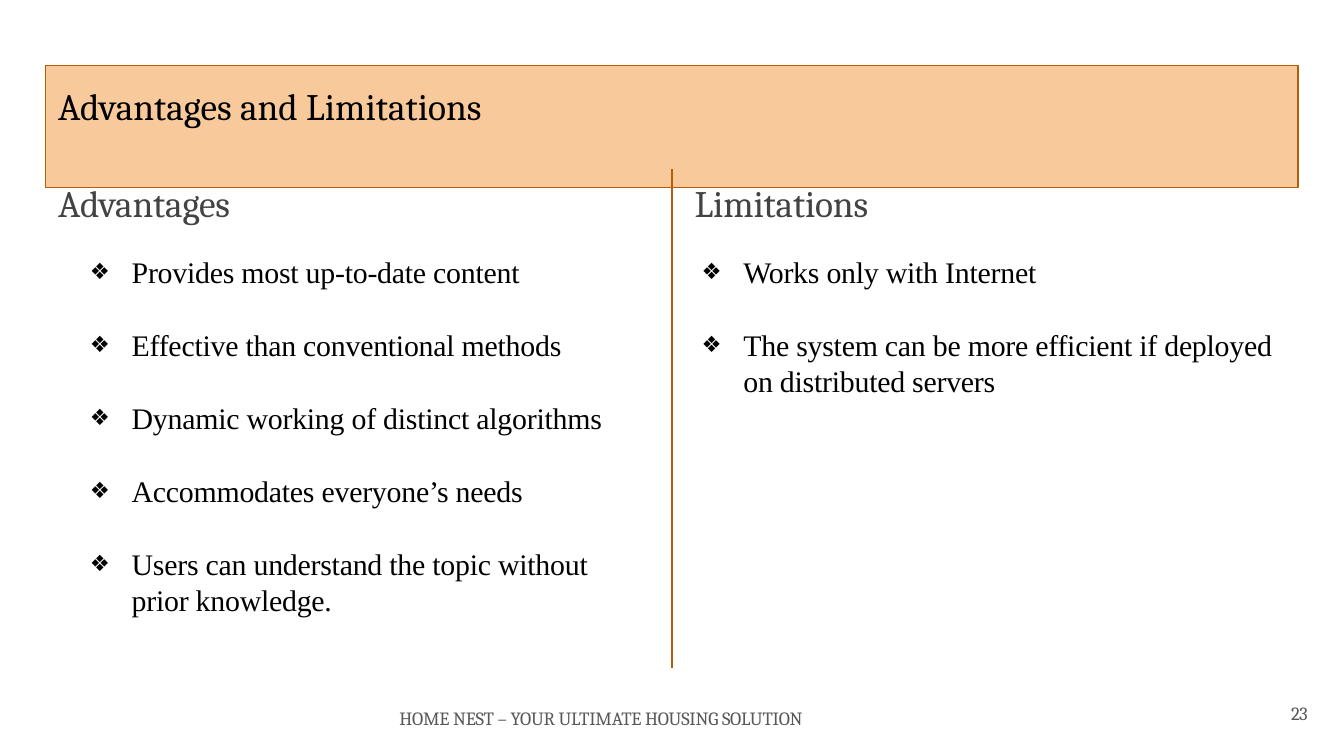
from dataclasses import dataclass

from lxml.etree import SubElement
from pptx import Presentation
from pptx.dml.color import RGBColor
from pptx.enum.shapes import MSO_CONNECTOR as Connector, MSO_SHAPE as Shape
from pptx.enum.text import MSO_ANCHOR as Anchor, PP_ALIGN as Align
from pptx.oxml.ns import qn
from pptx.util import Cm, Pt


@dataclass(frozen=True)
class Theme:
    banner: str = "F8CA9B"
    accent: str = "B45F05"
    black: str = "000000"
    heading: str = "434343"
    muted: str = "585858"
    serif: str = "Cambria"
    body: str = "Times New Roman"
    title_size: int = 20
    body_size: int = 16
    footer_size: int = 10
    line_width: float = 0.75


THEME = Theme()
BULLET_INDENT = 0.82
BULLET_HANG = 0.79

ADVANTAGES = [
    "Provides most up-to-date content",
    "Effective than conventional methods",
    "Dynamic working of distinct algorithms",
    "Accommodates everyone’s needs",
    "Users can understand the topic without prior knowledge.",
]
LIMITATIONS = [
    "Works only with Internet",
    "The system can be more efficient if deployed on distributed servers",
]


def apply_format(target, values):
    for name, value in values.items():
        setattr(target, name, value)


def prepare_frame(shape, top_inset=0):
    frame = shape.text_frame
    apply_format(frame, {
        "word_wrap": True, "vertical_anchor": Anchor.TOP,
        "margin_left": 0, "margin_right": 0,
        "margin_top": Cm(top_inset), "margin_bottom": 0,
    })
    return frame


def write(paragraph, text, font, size, color, spacing=-0.1):
    """Fill a paragraph with one run; spacing is the tracking in points."""
    run = paragraph.add_run()
    run.text = text
    apply_format(run.font, {"name": font, "size": Pt(size)})
    run.font.color.rgb = RGBColor.from_string(color)
    run.font._element.set("spc", str(round(spacing * 100)))
    paragraph.alignment = Align.LEFT


def add_label(slide, box, text, font, size, color, spacing=-0.1):
    frame = prepare_frame(slide.shapes.add_textbox(*map(Cm, box)))
    write(frame.paragraphs[0], text, font, size, color, spacing)


def set_bullet(paragraph):
    properties = paragraph._p.get_or_add_pPr()
    properties.set("marL", str(Cm(BULLET_INDENT)))
    properties.set("indent", str(-Cm(BULLET_HANG)))
    SubElement(properties, qn("a:buSzPct"), val="75000")
    SubElement(properties, qn("a:buFont"), typeface="Arial")
    SubElement(properties, qn("a:buChar"), char="❖")


def add_banner(slide, box, title):
    shape = slide.shapes.add_shape(Shape.RECTANGLE, *map(Cm, box))
    shape.shadow.inherit = False
    shape.fill.solid()
    shape.fill.fore_color.rgb = RGBColor.from_string(THEME.banner)
    shape.line.color.rgb = RGBColor.from_string(THEME.accent)
    shape.line.width = Pt(THEME.line_width)
    frame = prepare_frame(shape, top_inset=0.33)
    frame.margin_left = Cm(0.24)
    write(frame.paragraphs[0], title, THEME.serif, THEME.title_size, THEME.black, 0)


def add_column(slide, box, heading, items, list_offset):
    """Place a heading and, list_offset further right, its bulleted list."""
    left, top, width, height = box
    list_drop = 1.4
    add_label(slide, (left, top, width, list_drop), heading,
              THEME.serif, THEME.title_size, THEME.heading)
    list_box = (left + list_offset, top + list_drop,
                width - list_offset, height - list_drop)
    frame = prepare_frame(slide.shapes.add_textbox(*map(Cm, list_box)))
    for index, item in enumerate(items):
        paragraph = frame.add_paragraph() if index else frame.paragraphs[0]
        write(paragraph, item, THEME.body, THEME.body_size, THEME.black)
        apply_format(paragraph, {"line_spacing": Pt(19.3), "space_after": Pt(19.8)})
        set_bullet(paragraph)


def add_divider(slide, box):
    left, top, width, height = box
    line = slide.shapes.add_connector(
        Connector.STRAIGHT, *map(Cm, (left, top, left + width, top + height)))
    line.line.color.rgb = RGBColor.from_string(THEME.accent)
    line.line.width = Pt(THEME.line_width)
    SubElement(line._element.spPr, qn("a:effectLst"))


def add_footer(slide, box, text, number):
    left, top, width, height = box
    number_width = 0.6
    style = (THEME.serif, THEME.footer_size, THEME.muted)
    add_label(slide, (left, top + 0.1, 9.5, height), text, *style)
    add_label(slide, (left + width - number_width, top, number_width, height),
              number, *style, spacing=-0.3)


def main():
    presentation = Presentation()
    apply_format(presentation, {"slide_width": Cm(25.4), "slide_height": Cm(14.29)})
    slide = presentation.slides.add_slide(presentation.slide_layouts[6])
    add_banner(slide, (0.86, 1.24, 23.67, 2.31), "Advantages and Limitations")
    add_column(slide, (1.1, 3.4, 10.5, 9), "Advantages", ADVANTAGES, 0.57)
    add_column(slide, (13.13, 3.4, 11.3, 5), "Limitations", LIMITATIONS, 0.1)
    add_divider(slide, (12.7, 3.2, 0, 9.42))
    add_footer(slide, (7.55, 13.26, 17.45, 0.48),
               "HOME NEST – YOUR ULTIMATE HOUSING SOLUTION", "23")
    presentation.save("out.pptx")


if __name__ == "__main__":
    main()
